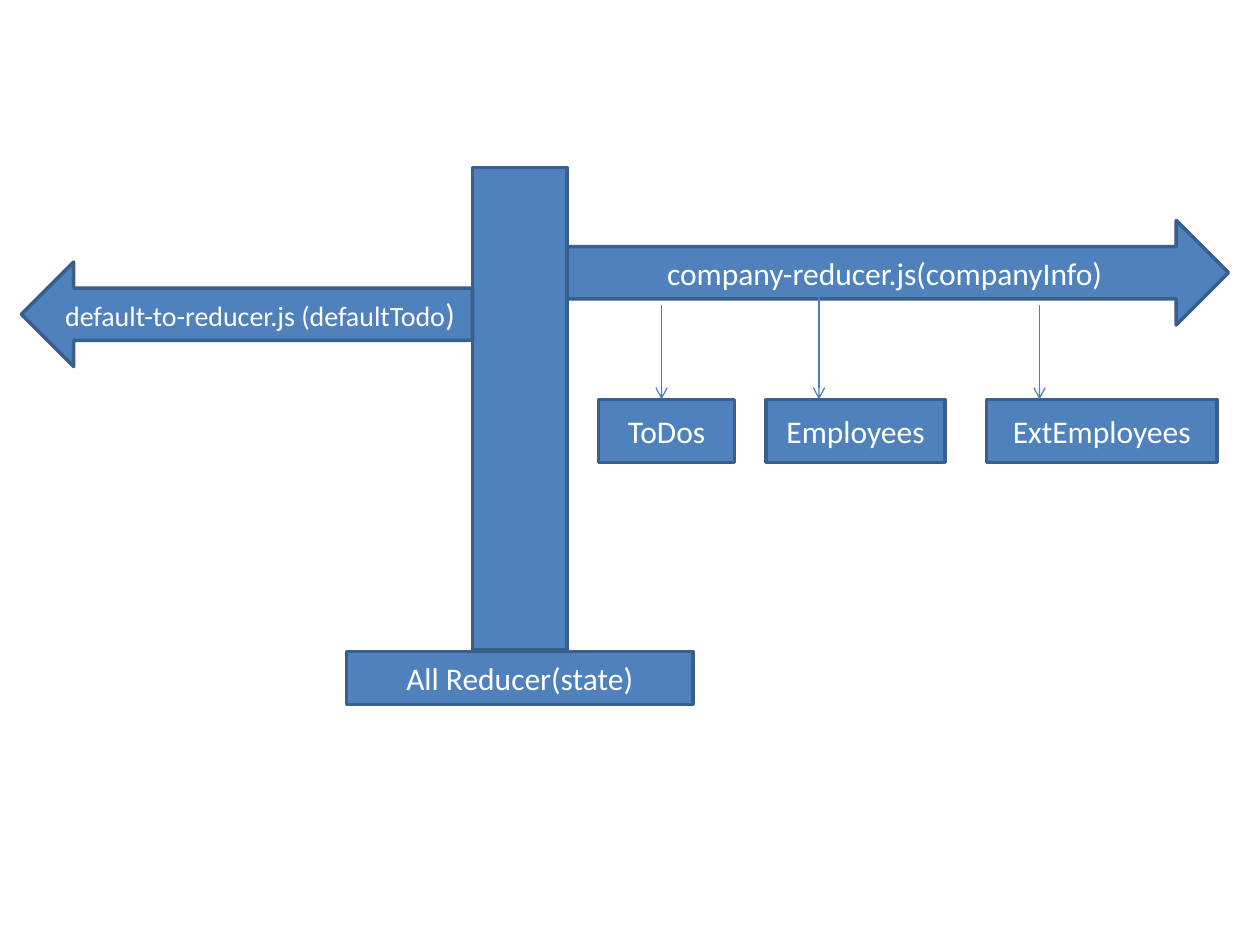
from dataclasses import dataclass

from lxml.etree import SubElement
from pptx import Presentation
from pptx.dml.color import RGBColor
from pptx.enum.shapes import MSO_CONNECTOR as Connector, MSO_SHAPE as Shape
from pptx.enum.text import MSO_ANCHOR as Anchor, PP_ALIGN as Align
from pptx.oxml.ns import qn
from pptx.slide import Slide
from pptx.util import Inches, Pt


def color(value):
    return RGBColor.from_string(value)


def apply_format(target, values):
    for name, value in values.items():
        setattr(target, name, value)


@dataclass
class Diagram:
    """Draws the elements of the reducer diagram in one style."""

    slide: Slide
    fill: str = "4F81BD"
    outline: str = "3A5F8C"
    link: str = "4B7EBC"
    text: str = "FFFFFF"
    font: str = "Calibri"

    def block(self, kind, left, top, width, height, *runs):
        shape = self.slide.shapes.add_shape(
            kind, Inches(left), Inches(top), Inches(width), Inches(height)
        )
        shape.shadow.inherit = False
        shape.fill.solid()
        shape.fill.fore_color.rgb = color(self.fill)
        shape.line.color.rgb = color(self.outline)
        shape.line.width = Pt(2)
        apply_format(
            shape.text_frame, {"word_wrap": True, "vertical_anchor": Anchor.MIDDLE}
        )
        paragraph = shape.text_frame.paragraphs[0]
        paragraph.alignment = Align.CENTER
        for words, size in runs:
            run = paragraph.add_run()
            run.text = words
            apply_format(run.font, {"name": self.font, "size": Pt(size)})
            run.font.color.rgb = color(self.text)

    def arrow(self, x, top, bottom):
        connector = self.slide.shapes.add_connector(
            Connector.STRAIGHT, Inches(x), Inches(top), Inches(x), Inches(bottom)
        )
        connector.line.color.rgb = color(self.link)
        connector.line.width = Pt(0.75)
        properties = connector._element.spPr
        SubElement(properties.find(qn("a:ln")), qn("a:tailEnd"), type="arrow")
        SubElement(properties, qn("a:effectLst"))


def main():
    presentation = Presentation()
    apply_format(
        presentation, {"slide_width": Inches(10), "slide_height": Inches(7.5)}
    )
    slide = presentation.slides.add_slide(presentation.slide_layouts[6])
    diagram = Diagram(slide)

    diagram.block(Shape.RECTANGLE, 3.75, 1.33, 0.75, 3.83)
    diagram.block(
        Shape.RIGHT_ARROW, 4.5, 1.75, 5.25, 0.83,
        ("company-reducer.js(companyInfo)", 18),
    )
    diagram.block(
        Shape.LEFT_ARROW, 0.17, 2.08, 3.58, 0.83,
        ("default-to-reducer.js (defaultTodo", 16), (")", 18),
    )
    diagram.block(
        Shape.RECTANGLE, 2.75, 5.17, 2.75, 0.42, ("All Reducer(state)", 18)
    )

    state_top = 3.17
    states = [
        ("ToDos", 4.75, 1.08, 5.25, 2.42),
        ("Employees", 6.08, 1.42, 6.5, 2.33),
        ("ExtEmployees", 7.83, 1.83, 8.25, 2.42),
    ]
    for name, left, width, arrow_x, arrow_top in states:
        diagram.block(Shape.RECTANGLE, left, state_top, width, 0.5, (name, 18))
        diagram.arrow(arrow_x, arrow_top, state_top)

    presentation.save("out.pptx")


if __name__ == "__main__":
    main()
